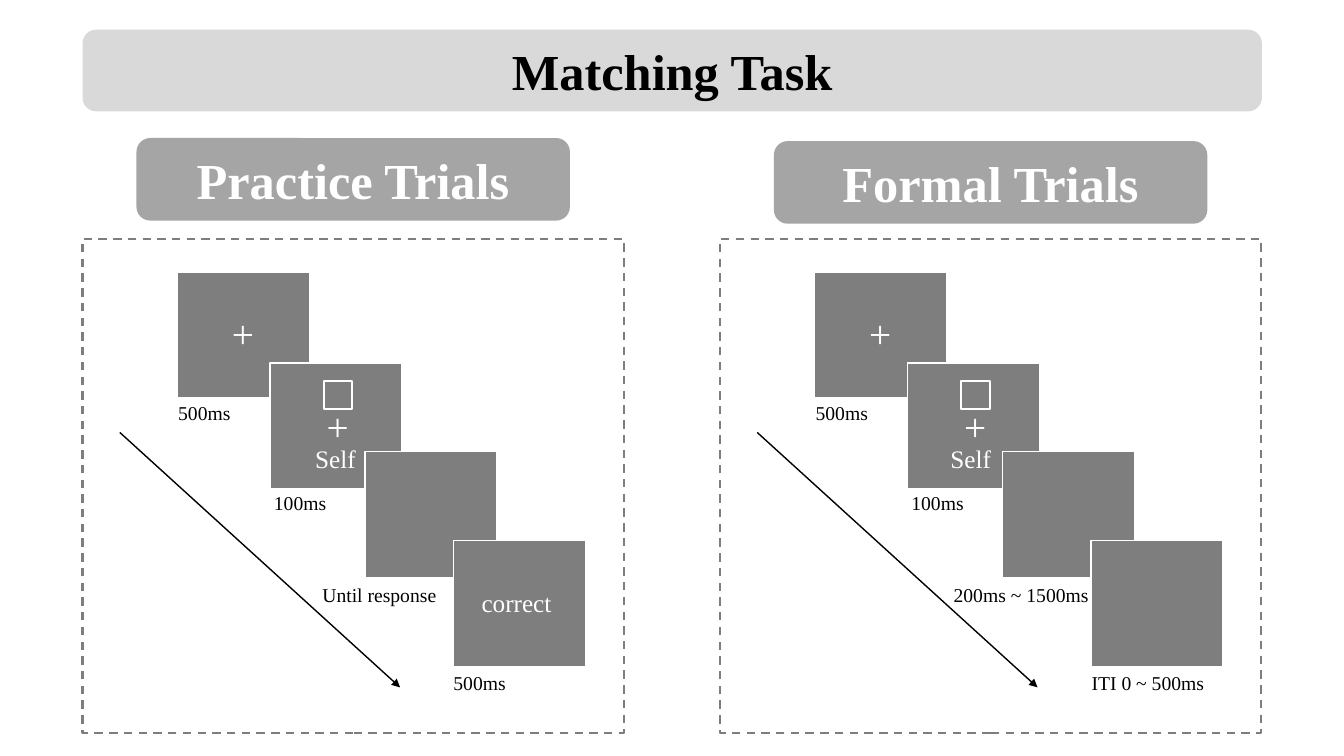
from lxml import etree
from pptx import Presentation
from pptx import util as u
from pptx.dml.color import RGBColor
from pptx.enum import dml, shapes, text
from pptx.oxml import ns

FONT = "Times New Roman"
WHITE, BLACK, GRAY = "FFFFFF", "000000", "7F7E7F"

# Content: x values inside a panel count from the panel's left edge
TITLE = "Matching Task"
PANELS = [
    {"left": 59, "heading": "Practice Trials", "heading_top": 98.6,
     "times": [("500ms", 61.2, 54), ("100ms", 129.6, 54),
               ("Until response", 164.2, 103), ("500ms", 257.8, 54)],
     "words": [("Self", 159.1, 313.2, 45.4), ("correct", 277.9, 416.2, 67.7)]},
    {"left": 514.3, "heading": "Formal Trials", "heading_top": 100.8,
     "times": [("500ms", 61.2, 54), ("100ms", 129.6, 54),
               ("200ms ~ 1500ms", 159.8, 112.3), ("ITI 0 ~ 500ms", 258.3, 95)],
     "words": [("Self", 157.5, 313.2, 48.2)]},
]

# Geometry in points
SCREENS = [(67.7, 194.4), (133.9, 259.2), (201.6, 322.6), (265, 385.9)]
SCREEN_SIZE = (94.3, 90)
TIME_TOPS = [283, 347, 412.6, 475.9]
CROSSES = [(99.5, 217.4, 28.5), (167.3, 283.7, 26.6)]
STIMULUS = (172.4, 272.2, 20.2, 20.2)
ARROW = (26.6, 308.9, 226.8, 491)
PANEL_TOP, PANEL_SIZE = 170.6, (386.6, 352.8)
HEADING_INSET, HEADING_SIZE = 38.5, (309.6, 59)
BANNER = (59, 21.2, 842.4, 58.3)


def points(*values):
    return [u.Pt(value) for value in values]


def color(value):
    return RGBColor.from_string(value)


def write(frame, words, size, ink, bold=False):
    para = frame.paragraphs[0]
    span = para.add_run()
    span.text = words
    span.font.name, span.font.size, span.font.bold = FONT, u.Pt(size), bold
    span.font.color.rgb = color(ink)
    return para


def add_box(parent, kind, area, fill=None, line=None, weight=1):
    box = parent.add_shape(kind, *points(*area))
    box.shadow.inherit = False
    if fill:
        box.fill.solid()
        box.fill.fore_color.rgb = color(fill)
    else:
        box.fill.background()
    if line:
        box.line.color.rgb = color(line)
        box.line.width = u.Pt(weight)
    else:
        box.line.fill.background()
    return box


def add_label(parent, words, left, top, width, size, ink):
    box = parent.add_textbox(*points(left, top, width, size * 1.2 + 7.2))
    box.text_frame.word_wrap = False
    write(box.text_frame, words, size, ink)


def center(frame, words, size, ink):
    frame.vertical_anchor = text.MSO_ANCHOR.MIDDLE
    frame.word_wrap = True
    write(frame, words, size, ink, True).alignment = text.PP_ALIGN.CENTER


def add_arrow(parent, start_x, start_y, end_x, end_y):
    arrow = parent.add_connector(shapes.MSO_CONNECTOR.STRAIGHT,
                                 *points(start_x, start_y, end_x, end_y))
    arrow.line.color.rgb = color(BLACK)
    arrow.line.width = u.Pt(1)
    etree.SubElement(arrow.line._get_or_add_ln(), ns.qn("a:tailEnd"), type="triangle")
    etree.SubElement(arrow._element.spPr, ns.qn("a:effectLst"))


def add_panel(slide, panel):
    left = panel["left"]
    parent = slide.shapes.add_group_shape().shapes
    rect = shapes.MSO_SHAPE.RECTANGLE

    # Screens with their durations
    for (x, y), top, (words, offset, width) in zip(SCREENS, TIME_TOPS, panel["times"]):
        add_label(parent, words, left + offset, top, width, 14, BLACK)
        add_box(parent, rect, (left + x, y, *SCREEN_SIZE), GRAY, WHITE)

    # Stimuli on the screens
    for x, y, width in CROSSES:
        add_label(parent, "+", left + x, y, width, 28, WHITE)
    x, *rest = STIMULUS
    add_box(parent, rect, (left + x, *rest), GRAY, WHITE, 1.5)
    for words, x, y, width in panel["words"]:
        add_label(parent, words, left + x, y, width, 18, WHITE)

    # Time arrow and dashed frame
    start_x, start_y, end_x, end_y = ARROW
    add_arrow(parent, left + start_x, start_y, left + end_x, end_y)
    border = add_box(parent, rect, (left, PANEL_TOP, *PANEL_SIZE), None, GRAY, 1.5)
    border.line.dash_style = dml.MSO_LINE.DASH

    # Heading
    heading = add_box(slide.shapes, shapes.MSO_SHAPE.ROUNDED_RECTANGLE,
                      (left + HEADING_INSET, panel["heading_top"], *HEADING_SIZE), "A6A5A5")
    center(heading.text_frame, panel["heading"], 36, WHITE)


def main():
    deck = Presentation()
    deck.slide_width, deck.slide_height = points(960, 540)
    page = deck.slides.add_slide(deck.slide_layouts[5])

    for panel in PANELS:
        add_panel(page, panel)

    # Banner with the title in front of it
    add_box(page.shapes, shapes.MSO_SHAPE.ROUNDED_RECTANGLE, BANNER, "D9D9D9")
    title = page.shapes.title
    title.left, title.top, title.width, title.height = points(*BANNER)
    center(title.text_frame, TITLE, 36, BLACK)
    title.element.getparent().append(title.element)

    deck.save("out.pptx")


if __name__ == "__main__":
    main()
